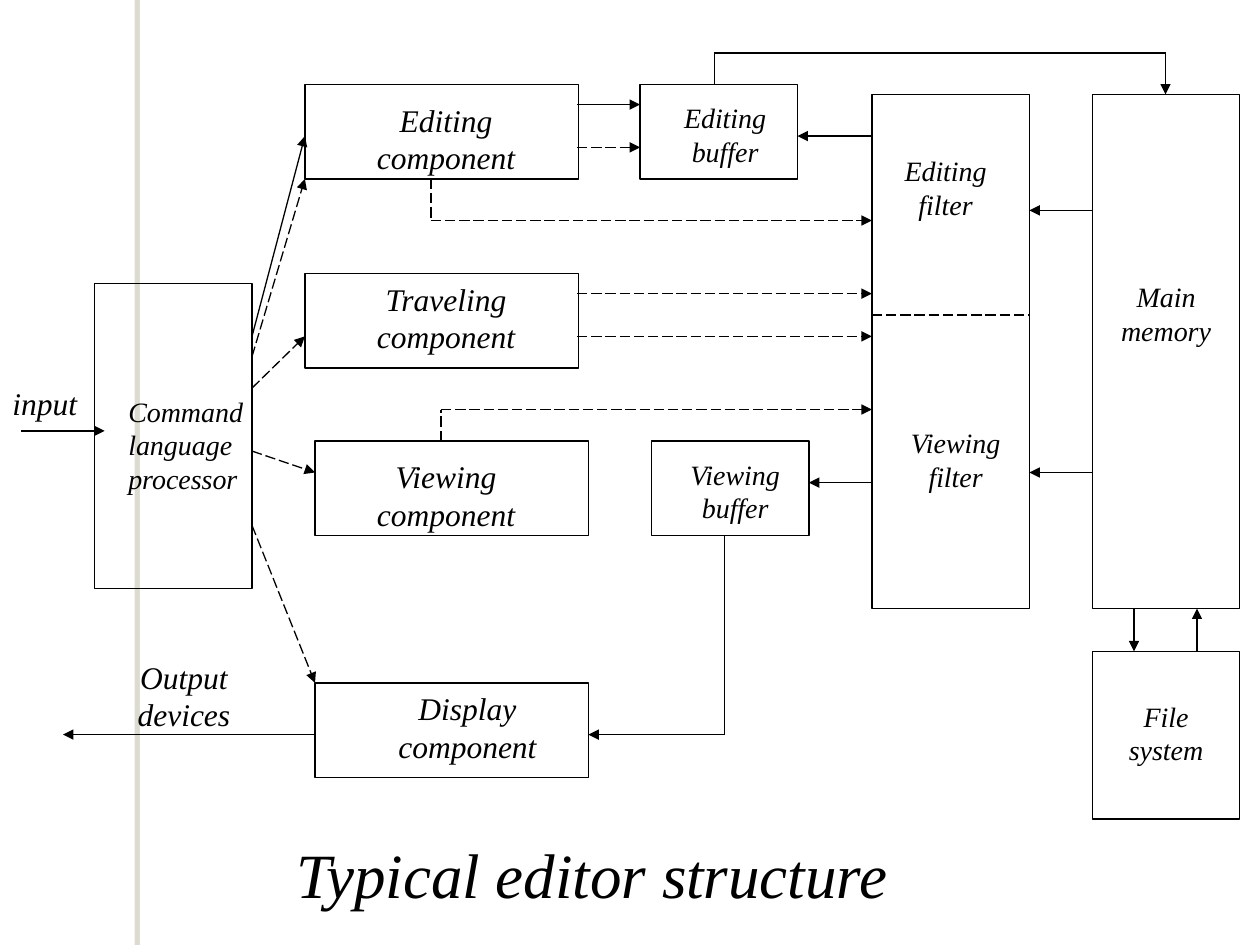
from lxml import etree
from pptx import Presentation
from pptx.dml.color import RGBColor
from pptx.enum.dml import MSO_LINE
from pptx.enum.shapes import MSO_CONNECTOR, MSO_SHAPE
from pptx.enum.text import MSO_ANCHOR, MSO_AUTO_SIZE, PP_ALIGN
from pptx.oxml.ns import qn
from pptx.util import Inches, Pt

RECTANGLE = MSO_SHAPE.RECTANGLE
STRAIGHT = MSO_CONNECTOR.STRAIGHT
DASH = MSO_LINE.LONG_DASH
LEFT, CENTER = PP_ALIGN.LEFT, PP_ALIGN.CENTER
TOP = MSO_ANCHOR.TOP
GROW = MSO_AUTO_SIZE.SHAPE_TO_FIT_TEXT
TITLE_ONLY = 5

FONT = "Times New Roman"
BLACK, WHITE, BAR_SHADOW = "000000", "FFFFFF", "7E7747"
LINE_WIDTH = 0.75

COMPONENT_SIZE = (2.17, 0.75)
BUFFER_SIZE = (1.25, 0.75)
BOXES = [
    (2.42, 0.67, *COMPONENT_SIZE),  # editing component
    (2.42, 2.17, *COMPONENT_SIZE),  # traveling component
    (2.5, 3.5, *COMPONENT_SIZE),    # viewing component
    (2.5, 5.42, *COMPONENT_SIZE),   # display component
    (0.75, 2.25, 1.25, 2.42),       # command language processor
    (5.08, 0.67, *BUFFER_SIZE),     # editing buffer
    (5.17, 3.5, *BUFFER_SIZE),      # viewing buffer
    (6.92, 0.75, 1.25, 4.08),       # filters
    (8.67, 0.75, 1.17, 4.08),       # main memory
    (8.67, 5.17, 1.17, 1.33),       # file system
]

LARGE_LABELS = [
    ("Editing component", 2.75, 0.75),
    ("Traveling component", 2.75, 2.17),
    ("Viewing component", 2.75, 3.58),
    ("Display component", 2.92, 5.42),
    ("Output devices", 0.67, 5.17),
]
SMALL_LABELS = [
    ("Editing buffer", 5.17, 0.75),
    ("Viewing buffer", 5.25, 3.58),
    ("Editing filter", 6.92, 1.17),
    ("Viewing filter", 7, 3.33),
    ("Main memory", 8.67, 2.17),
    ("File system", 8.67, 5.5),
]

SOLID_ROUTES = [
    [(0.17, 3.42), (0.83, 3.42)],
    [(2, 2.67), (2.42, 1.08)],
    [(4.58, 0.83), (5.08, 0.83)],
    [(9, 4.83), (9, 5.17)],
    [(9.5, 5.17), (9.5, 4.83)],
    [(8.67, 1.67), (8.17, 1.67)],
    [(8.67, 3.75), (8.17, 3.75)],
    [(6.92, 1.08), (6.33, 1.08)],
    [(6.92, 3.83), (6.42, 3.83)],
    [(5.75, 4.25), (5.75, 5.83), (4.67, 5.83)],
    [(2.5, 5.83), (0.5, 5.83)],
    [(5.67, 0.67), (5.67, 0.42), (9.25, 0.42), (9.25, 0.75)],
]
DASHED_ROUTES = [
    [(2, 2.83), (2.42, 1.42)],
    [(2, 3.08), (2.42, 2.67)],
    [(2, 3.58), (2.5, 3.75)],
    [(2, 4.17), (2.5, 5.42)],
    [(4.58, 1.17), (5.08, 1.17)],
    [(3.42, 1.42), (3.42, 1.75), (6.92, 1.75)],
    [(3.5, 3.5), (3.5, 3.25), (6.92, 3.25)],
    [(4.58, 2.33), (6.92, 2.33)],
    [(4.58, 2.67), (6.92, 2.67)],
]
FILTER_DIVIDER = [(6.92, 2.5), (8.17, 2.5)]


def color(value):
    return RGBColor.from_string(value)


def write_text(shape, text, size, align=CENTER):
    frame = shape.text_frame
    frame.word_wrap = True
    frame.auto_size = GROW
    frame.vertical_anchor = TOP
    paragraph = frame.paragraphs[0]
    paragraph.text = text
    paragraph.alignment = align
    paragraph.font.name = FONT
    paragraph.font.size = Pt(size)
    paragraph.font.italic = True
    paragraph.font.color.rgb = color(BLACK)


def add_label(slide, text, left, top, width, height, **text_format):
    label = slide.shapes.add_textbox(*map(Inches, (left, top, width, height)))
    write_text(label, text, **text_format)


def add_rectangle(slide, bounds):
    rectangle = slide.shapes.add_shape(RECTANGLE, *map(Inches, bounds))
    rectangle.shadow.inherit = False
    return rectangle


def add_box(slide, bounds):
    box = add_rectangle(slide, bounds)
    box.fill.background()
    box.line.color.rgb = color(BLACK)
    box.line.width = Pt(LINE_WIDTH)


def add_side_bar(slide):
    """Add a white bar that shows only through the shadow on its left."""
    bar = add_rectangle(slide, (1.11, 0, 0.08, 7.5))
    bar.fill.solid()
    bar.fill.fore_color.rgb = color(WHITE)
    bar.line.fill.background()
    effects = bar._element.spPr.find(qn("a:effectLst"))
    shadow = etree.SubElement(effects, qn("a:outerShdw"), dist=str(Pt(3)),
                              dir="10800000", algn="ctr", rotWithShape="0")
    tint = etree.SubElement(shadow, qn("a:srgbClr"), val=BAR_SHADOW)
    etree.SubElement(tint, qn("a:alpha"), val="25000")


def add_route(slide, points, dashed=False, arrow=True):
    """Join the points with straight lines, with an arrowhead at the last one."""
    for start, end in zip(points, points[1:]):
        connector = slide.shapes.add_connector(STRAIGHT, *map(Inches, start + end))
        connector.line.color.rgb = color(BLACK)
        connector.line.width = Pt(LINE_WIDTH)
        if dashed:
            connector.line.dash_style = DASH
        properties = connector._element.spPr
        if arrow and end == points[-1]:
            etree.SubElement(properties.find(qn("a:ln")), qn("a:tailEnd"), type="triangle")
        etree.SubElement(properties, qn("a:effectLst"))


def set_title(slide):
    title = slide.shapes.title
    title.left, title.top = Inches(2.25), Inches(6.58)
    title.width, title.height = Inches(5.75), Inches(0.7)
    write_text(title, "Typical editor structure", size=36, align=LEFT)


def main():
    presentation = Presentation()
    presentation.slide_width, presentation.slide_height = Inches(10), Inches(7.5)
    slide = presentation.slides.add_slide(presentation.slide_layouts[TITLE_ONLY])

    add_side_bar(slide)
    set_title(slide)
    for bounds in BOXES:
        add_box(slide, bounds)
    for text, left, top in LARGE_LABELS:
        add_label(slide, text, left, top, 1.58, 0.7, size=18)
    for text, left, top in SMALL_LABELS:
        add_label(slide, text, left, top, 1.17, 0.64, size=16)
    add_label(slide, "Command language processor", 0.92, 3.08, 1.33, 0.9, size=16, align=LEFT)
    add_label(slide, "input", 0, 3, 0.75, 0.4, size=18, align=LEFT)
    for points in SOLID_ROUTES:
        add_route(slide, points)
    for points in DASHED_ROUTES:
        add_route(slide, points, dashed=True)
    add_route(slide, FILTER_DIVIDER, dashed=True, arrow=False)

    presentation.save("out.pptx")


if __name__ == "__main__":
    main()
